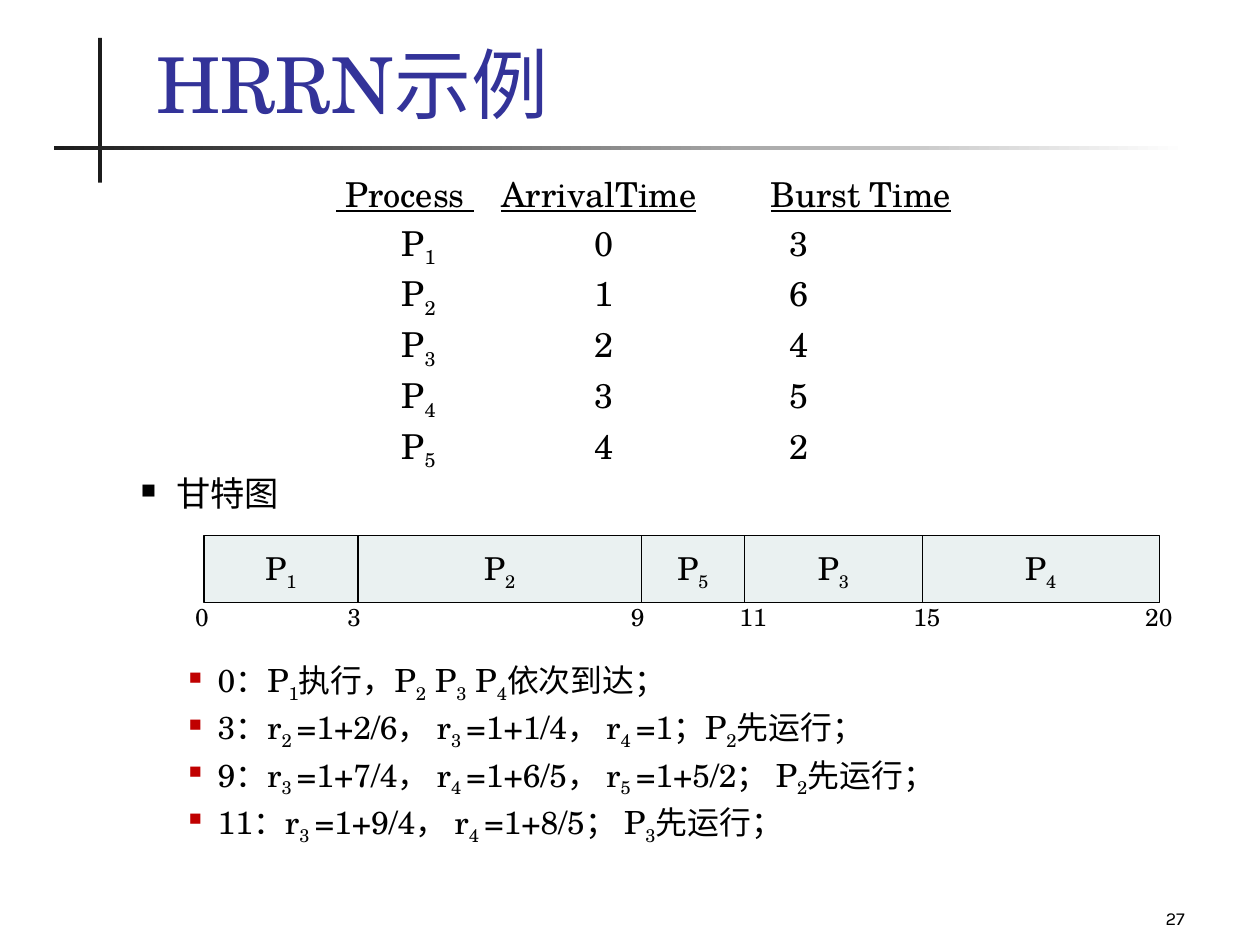
from lxml import etree
from pptx import Presentation
from pptx.dml.color import RGBColor
from pptx.enum import shapes, text
from pptx.oxml.ns import qn
from pptx.util import Inches, Pt

SERIF = "TeX Gyre Schola"
BLACK = "000000"
DARK = "1C1C1C"
BODY_SIZE = 19.6
NOTE_SIZE = 18.2
HEADER_TABS = (1.55, 2.86, 5.0)
ROW_TABS = (2.07, 3.6, 5.15)

PROCESSES = [(1, 0, 3), (2, 1, 6), (3, 2, 4), (4, 3, 5), (5, 4, 2)]

# Text in braces is set as a subscript.
NOTES = [
    "0：P{1}执行，P{2} P{3} P{4}依次到达；",
    "3：r{2 }=1+2/6， r{3 }=1+1/4， r{4 }=1；P{2}先运行；",
    "9：r{3 }=1+7/4， r{4 }=1+6/5， r{5 }=1+5/2； P{2}先运行；",
    "11：r{3 }=1+9/4， r{4 }=1+8/5； P{3}先运行；",
]

# Process number, left edge, right edge
GANTT_BARS = [(1, 1.62, 2.84), (2, 2.84, 5.09), (5, 5.09, 5.91),
              (3, 5.91, 7.32), (4, 7.32, 9.2)]
# Time, left edge, width of its label
GANTT_TIMES = [(0, 1.45, 0.34), (3, 2.66, 0.34), (9, 4.91, 0.34),
               (11, 5.77, 0.51), (15, 7.15, 0.46), (20, 8.99, 0.51)]


def colour(value):
    return RGBColor.from_string(value)


def set_all(target, **values):
    for name, value in values.items():
        setattr(target, name, value)


def add_span(para, words, size, font=SERIF, ink=BLACK, underline=None):
    span = para.add_run()
    span.text = words
    set_all(span.font, size=Pt(size), name=font, underline=underline)
    span.font.color.rgb = colour(ink)
    return span


def add_marked(para, words, size):
    """Add text whose parts in braces are subscripts."""
    first, *rest = words.split("{")
    add_span(para, first, size)
    for part in rest:
        low, _, normal = part.partition("}")
        span = add_span(para, low, size)
        span.font._element.set("baseline", "-25000")
        if normal:
            add_span(para, normal, size)


def add_box(page, left, top, width, height, anchor=text.MSO_ANCHOR.TOP):
    box = page.shapes.add_textbox(*map(Inches, (left, top, width, height)))
    set_all(box.text_frame, word_wrap=True, vertical_anchor=anchor)
    return box.text_frame


def add_rectangle(page, left, top, width, height, fill):
    block = page.shapes.add_shape(shapes.MSO_SHAPE.RECTANGLE,
                                  *map(Inches, (left, top, width, height)))
    block.shadow.inherit = False
    block.fill.solid()
    block.fill.fore_color.rgb = colour(fill)
    block.line.fill.background()
    return block


def set_tabs(para, stops):
    tabs = etree.SubElement(para._p.get_or_add_pPr(), qn("a:tabLst"))
    for stop in stops:
        etree.SubElement(tabs, qn("a:tab"), pos=str(Inches(stop)), algn="l")


def set_bullet(para, indent, hanging, ink, percent):
    props = para._p.get_or_add_pPr()
    props.set("marL", str(Inches(indent)))
    props.set("indent", str(-Inches(hanging)))
    holder = etree.SubElement(props, qn("a:buClr"))
    etree.SubElement(holder, qn("a:srgbClr"), val=ink)
    etree.SubElement(props, qn("a:buSzPct"), val=str(percent * 1000))
    etree.SubElement(props, qn("a:buChar"), char="■")


def space(para, size, extra=0):
    set_all(para, line_spacing=0.94, space_before=Pt(0.2 * size + extra))


def add_title(page):
    add_rectangle(page, 0.78, 0.3, 0.03, 1.15, DARK)
    rule = add_rectangle(page, 0.43, 1.16, 9, 0.03, DARK)
    rule.fill.gradient()
    rule.fill.gradient_angle = 0
    for stop, (position, ink) in zip(rule.fill.gradient_stops,
                                     [(0, DARK), (1, "FFFFFF")]):
        stop.position = position
        stop.color.rgb = colour(ink)
    frame = add_box(page, 1.14, 0.25, 8.59, 0.82, text.MSO_ANCHOR.BOTTOM)
    add_span(frame.paragraphs[0], "HRRN示例", 44, ink="333399")


def add_process_rows(frame):
    header = frame.paragraphs[0]
    set_tabs(header, HEADER_TABS)
    header.line_spacing = 0.94
    for label in (" Process ", "ArrivalTime", "Burst Time"):
        add_span(header, "\t", BODY_SIZE)
        add_span(header, label, BODY_SIZE, underline=True)
    for number, arrival, burst in PROCESSES:
        para = frame.add_paragraph()
        set_tabs(para, ROW_TABS)
        space(para, BODY_SIZE)
        add_marked(para, f"\tP{{{number}}}\t{arrival}\t{burst}", BODY_SIZE)


def add_body(page):
    frame = add_box(page, 1.02, 1.35, 8.5, 5.35)
    add_process_rows(frame)
    heading = frame.add_paragraph()
    set_bullet(heading, 0.28, 0.28, BLACK, 60)
    space(heading, BODY_SIZE)
    add_span(heading, "甘特图", BODY_SIZE)
    for index, note in enumerate(NOTES):
        para = frame.add_paragraph()
        set_bullet(para, 0.61, 0.23, "C00000", 55)
        # The first note leaves room for the Gantt chart above it.
        space(para, NOTE_SIZE, extra=0 if index else 80)
        add_marked(para, note, NOTE_SIZE)


def add_gantt(page):
    for number, left, right in GANTT_BARS:
        bar = add_rectangle(page, left, 4.25, right - left, 0.53, "EAF1F1")
        bar.line.color.rgb = colour(BLACK)
        bar.line.width = Pt(0.75)
        set_all(bar.text_frame, word_wrap=False,
                vertical_anchor=text.MSO_ANCHOR.MIDDLE)
        para = bar.text_frame.paragraphs[0]
        set_all(para, alignment=text.PP_ALIGN.CENTER, line_spacing=0.9)
        add_marked(para, f"P{{{number}}}", 18)
    for time, left, width in GANTT_TIMES:
        frame = add_box(page, left, 4.73, width, 0.34)
        add_span(frame.paragraphs[0], str(time), 14)


def add_page_number(page):
    frame = add_box(page, 7.42, 6.92, 2.08, 0.5, text.MSO_ANCHOR.BOTTOM)
    para = frame.paragraphs[0]
    para.alignment = text.PP_ALIGN.RIGHT
    add_span(para, "27", 10.5, font="Karla")


def main():
    deck = Presentation()
    set_all(deck, slide_width=Inches(10), slide_height=Inches(7.5))
    page = deck.slides.add_slide(deck.slide_layouts[6])
    add_title(page)
    add_body(page)
    add_gantt(page)
    add_page_number(page)
    deck.save("out.pptx")


if __name__ == "__main__":
    main()
